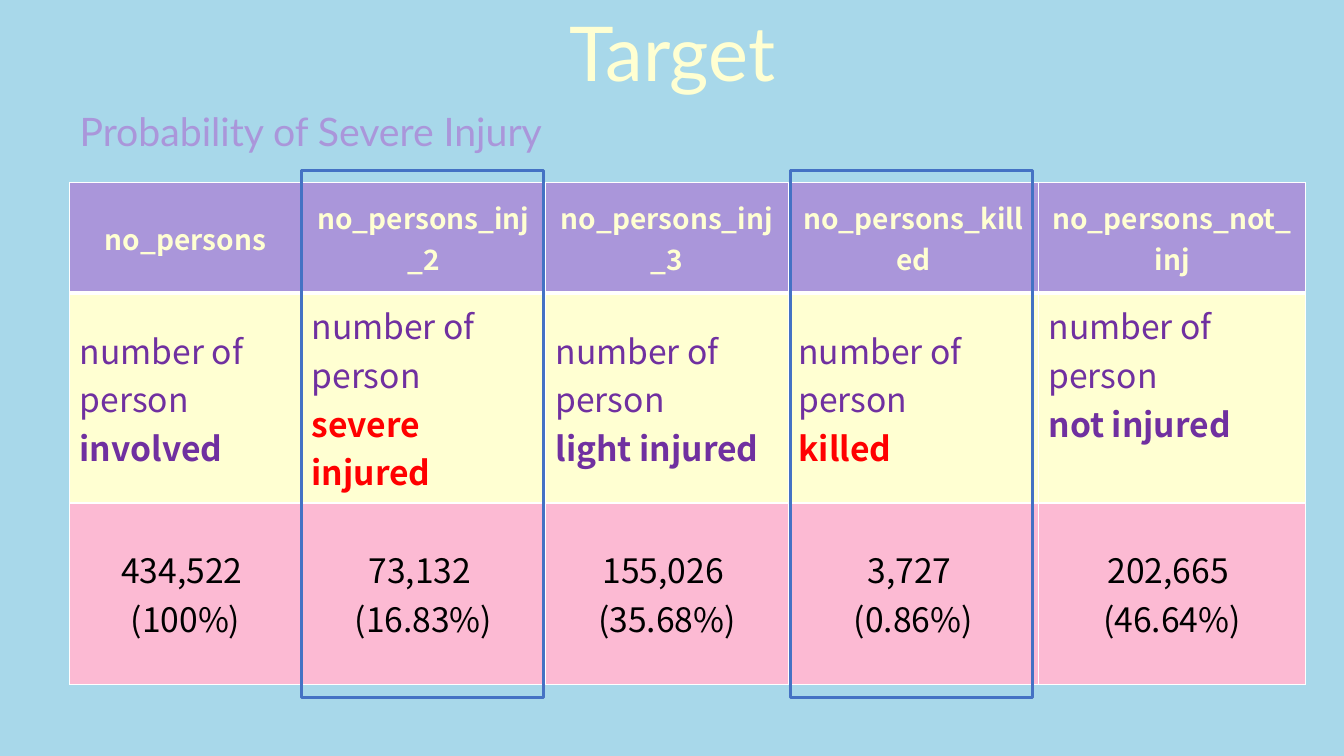
from lxml import etree
from pptx import Presentation
from pptx import util as u
from pptx.dml.color import RGBColor
from pptx.enum import shapes, text
from pptx.oxml.ns import qn

HEADING_FONT, TABLE_FONT = "Lato", "Noto Sans CJK SC"
SKY, CREAM, LILAC, PINK = "A8D8EA", "FFFFD2", "AA96DA", "FCBAD3"
PURPLE, RED, BLACK, WHITE, BLUE = "7030A0", "FF0000", "000000", "FFFFFF", "4472C4"
LEFT, CENTER = text.PP_ALIGN.LEFT, text.PP_ALIGN.CENTER

# column name, lead-in, outcome, outcome colour, count, share
TARGETS = [
    ("no_persons", "number of person ", "involved", PURPLE, "434,522 ", "(100%)"),
    ("no_persons_inj_2", "number of person", "severe injured", RED, "73,132 ", "(16.83%)"),
    ("no_persons_inj_3", "number of person", "light injured", PURPLE, "155,026 ", "(35.68%)"),
    ("no_persons_killed", "number of person", "killed", RED, "3,727 ", "(0.86%)"),
    ("no_persons_not_inj", "number of person", "not injured", PURPLE, "202,665 ", "(46.64%)"),
]
COL_WIDTHS = [2.3, 2.42, 2.41, 2.48, 2.65]
ROW_HEIGHTS = [1.1, 2.08, 1.8]


def rgb(hex_color):
    return RGBColor.from_string(hex_color)


def inches(*values):
    return [u.Inches(v) for v in values]


class SlideBuilder:
    def __init__(self, prs):
        self.s = prs.slides.add_slide(prs.slide_layouts[1])
        fill = self.s.background.fill
        fill.solid()
        fill.fore_color.rgb = rgb(SKY)

    def style(self, p, font, size, color, align, bold=False):
        p.alignment = align
        p.font.name, p.font.size, p.font.bold = font, u.Pt(size), bold
        p.font.color.rgb = rgb(color)

    def heading(self, index, words, box, size, color, align):
        """Fill, move and format the placeholder with the given index."""
        sp = self.s.placeholders[index]
        sp.left, sp.top, sp.width, sp.height = inches(*box)
        tf = sp.text_frame
        tf.text = words
        tf.auto_size = text.MSO_AUTO_SIZE.NONE
        p = tf.paragraphs[0]
        self.style(p, HEADING_FONT, size, color, align)
        p.space_before = u.Pt(0)
        pPr = p._p.get_or_add_pPr()
        pPr.set("marL", "0")
        pPr.set("indent", "0")
        pPr.insert_element_before(pPr.makeelement(qn("a:buNone")), "a:tabLst", "a:defRPr", "a:extLst")

    def table(self, left, top, widths, heights):
        box = inches(left, top, sum(widths), sum(heights))
        table = self.s.shapes.add_table(len(heights), len(widths), *box).table
        for column, width in zip(table.columns, widths):
            column.width = u.Inches(width)
        for row, height in zip(table.rows, heights):
            row.height = u.Inches(height)
        return table

    def cell(self, cell, fill, paragraphs, size, align, top_line=1, bottom_line=1):
        """Write paragraphs, each a list of (text, colour, bold) runs."""
        tcPr = cell._tc.get_or_add_tcPr()
        for side, width in zip("LRTB", (1, 1, top_line, bottom_line)):
            ln = etree.SubElement(tcPr, qn(f"a:ln{side}"), w=str(u.Pt(width)))
            solid = etree.SubElement(ln, qn("a:solidFill"))
            etree.SubElement(solid, qn("a:srgbClr"), val=WHITE)
        cell.fill.solid()
        cell.fill.fore_color.rgb = rgb(fill)
        cell.vertical_anchor = text.MSO_ANCHOR.MIDDLE
        tf = cell.text_frame
        for i, runs in enumerate(paragraphs):
            p = tf.add_paragraph() if i else tf.paragraphs[0]
            self.style(p, TABLE_FONT, size, runs[0][1], align, runs[0][2])
            for words, color, bold in runs:
                r = p.add_run()
                r.text = words
                r.font.name, r.font.size, r.font.bold = TABLE_FONT, u.Pt(size), bold
                r.font.color.rgb = rgb(color)

    def frame(self, *box):
        sp = self.s.shapes.add_shape(shapes.MSO_SHAPE.RECTANGLE, *inches(*box))
        sp.shadow.inherit = False
        sp.fill.background()
        sp.line.color.rgb = rgb(BLUE)
        sp.line.width = u.Pt(2.25)


def main():
    prs = Presentation()
    prs.slide_width, prs.slide_height = inches(13.33, 7.5)
    b = SlideBuilder(prs)
    b.heading(0, "Target", (3.68, 0, 5.98, 1.01), 54, CREAM, CENTER)
    b.heading(1, "Probability of Severe Injury", (0.69, 1.01, 5.09, 0.57), 28, LILAC, LEFT)

    table = b.table(0.69, 1.81, COL_WIDTHS, ROW_HEIGHTS)
    for col, (name, lead, outcome, color, count, share) in enumerate(TARGETS):
        lead_run, outcome_run = (lead, PURPLE, False), (outcome, color, True)
        meaning = [[lead_run, outcome_run]] if col == 0 else [[lead_run], [outcome_run]]
        figures = [[(count, BLACK, False)], [(share, BLACK, False)]]
        b.cell(table.cell(0, col), LILAC, [[(name, CREAM, True)]], 20, CENTER, bottom_line=3)
        b.cell(table.cell(1, col), CREAM, meaning, 24, LEFT, top_line=3)
        b.cell(table.cell(2, col), PINK, figures, 24, CENTER)
    # The last description sits one text line higher than its neighbours
    table.cell(1, len(TARGETS) - 1).margin_bottom = u.Inches(0.53)

    for left in (2.99, 7.84):
        b.frame(left, 1.69, 2.4, 5.23)
    prs.save("out.pptx")


if __name__ == "__main__":
    main()
